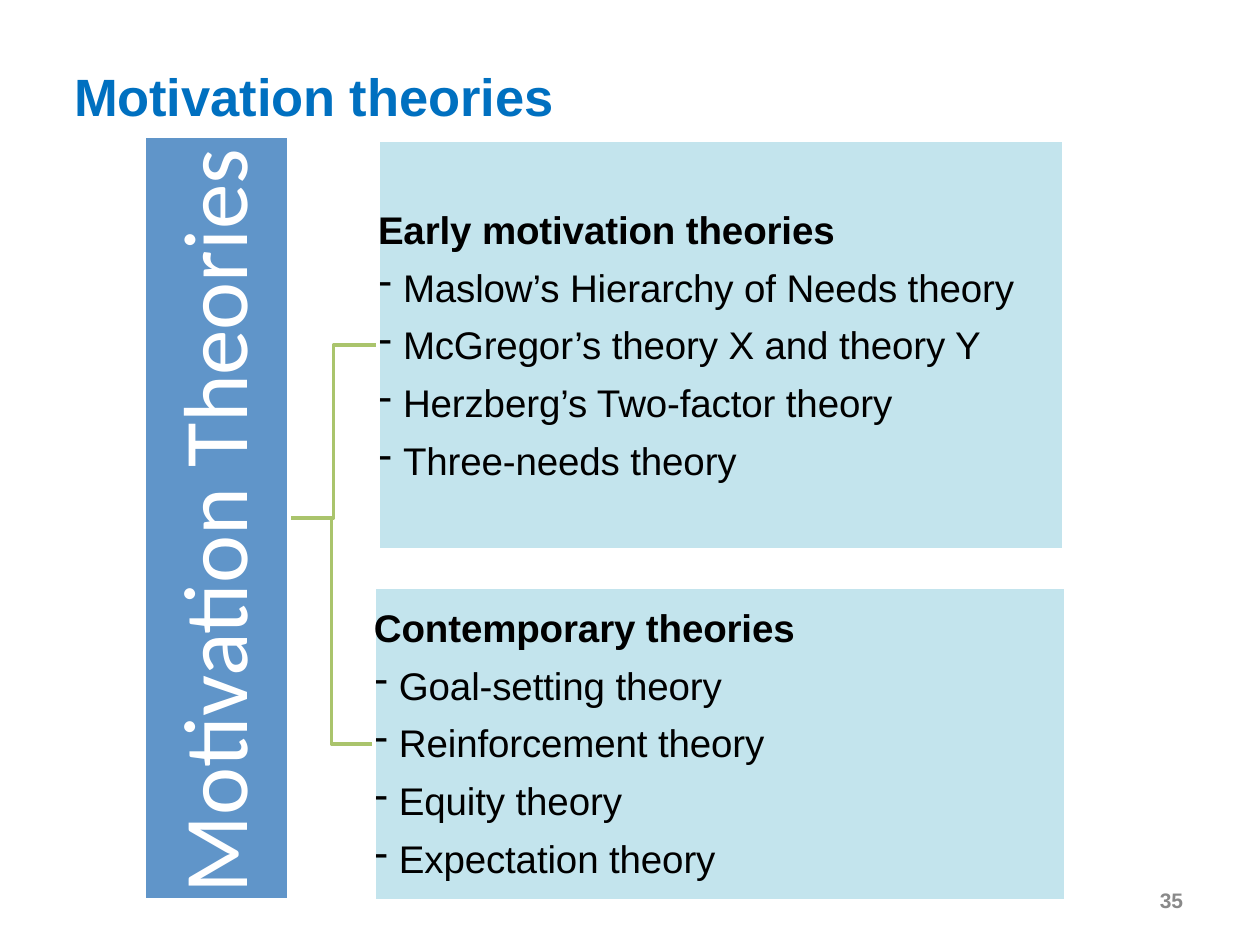
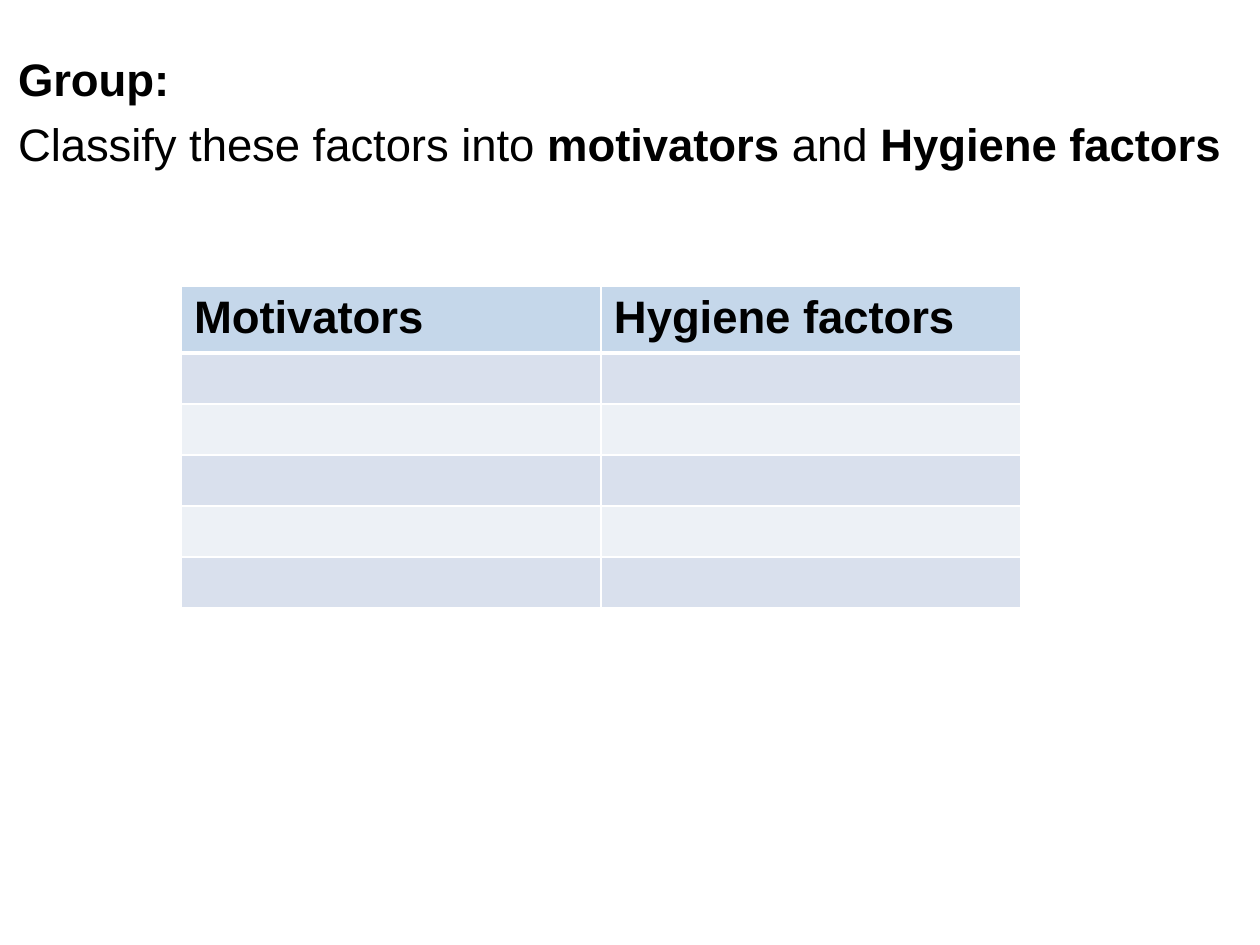
from lxml import etree
from pptx import Presentation, util as u
from pptx.dml.color import RGBColor
from pptx.enum import shapes, text
from pptx.oxml.ns import qn

EMU_PER_PX = 914400 / 126
COLORS = {
    "title": "0070C0", "text": "000000", "number": "898989", "white": "FFFFFF",
    "sidebar": "6095C9", "panel": "C3E4ED", "elbow": "AAC46C",
    "header": "C5D7EA", "odd_row": "D9E0ED", "even_row": "EDF1F6",
}
STYLES = {
    "title": {"size": 30, "bold": True, "color": "title"},
    "number": {"size": 12, "bold": True, "color": "number"},
    "sidebar": {"size": 52, "bold": False, "color": "white", "name": "Calibri"},
    "heading": {"size": 22, "bold": True, "color": "text"},
    "item": {"size": 22, "bold": False, "color": "text"},
    "task": {"size": 26, "bold": False, "color": "text"},
    "task_bold": {"size": 26, "bold": True, "color": "text"},
}

SIDEBAR = {"text": "Motivation Theories", "box": (144, 136, 145, 764),
           "text_box": (159, 142, 115, 751)}
THEORY_PANELS = [
    {
        "heading": "Early motivation theories",
        "items": ["Maslow’s Hierarchy of Needs theory",
                  "McGregor’s theory X and theory Y",
                  "Herzberg’s Two-factor theory",
                  "Three-needs theory"],
        "box": (378, 140, 686, 410), "text_top": 192,
    },
    {
        "heading": "Contemporary theories",
        "items": ["Goal-setting theory", "Reinforcement theory",
                  "Equity theory", "Expectation theory"],
        "box": (374, 587, 692, 314), "text_top": 590,
    },
]
TASK = [
    [("Group:", "task_bold")],
    [("Classify these factors into ", "task"), ("motivators ", "task_bold"),
     ("and ", "task"), ("Hygiene factors", "task_bold")],
]
FACTOR_TABLE = {"headers": ["Motivators", "Hygiene factors"], "left": 181, "top": 286,
                "column": 420, "header_row": 67, "row": 51, "body_rows": 5}


def px(value):
    return u.Emu(round(value * EMU_PER_PX))


def rgb(name):
    return RGBColor.from_string(COLORS[name])


def add_run(paragraph, words, style):
    run = paragraph.add_run()
    run.text = words
    values = {"name": "Arial", **STYLES[style]}
    values["size"] = u.Pt(values["size"])
    run.font.color.rgb = rgb(values.pop("color"))
    for attribute, value in values.items():
        setattr(run.font, attribute, value)
    run.font._element.set("spc", "-5")


def set_frame(frame, top_inset=0):
    values = {"word_wrap": True, "margin_left": 0, "margin_right": 0,
              "margin_top": px(top_inset), "margin_bottom": 0,
              "vertical_anchor": text.MSO_ANCHOR.TOP}
    for attribute, value in values.items():
        setattr(frame, attribute, value)


def add_text(slide, box, paragraphs, top_inset=1, gap=0):
    frame = slide.shapes.add_textbox(*map(px, box)).text_frame
    set_frame(frame, top_inset)
    for index, runs in enumerate(paragraphs):
        paragraph = frame.add_paragraph() if index else frame.paragraphs[0]
        if index:
            paragraph.space_before = u.Pt(gap)
        for words, style in runs:
            add_run(paragraph, words, style)
    return frame


def add_bullet(paragraph):
    properties = paragraph._p.get_or_add_pPr()
    properties.set("marL", str(px(25)))
    properties.set("indent", str(px(-24)))
    etree.SubElement(properties, qn("a:buChar")).set("char", "-")


def add_block(slide, box, color):
    shape = slide.shapes.add_shape(shapes.MSO_SHAPE.RECTANGLE, *map(px, box))
    shape.shadow.inherit = False
    shape.fill.solid()
    shape.fill.fore_color.rgb = rgb(color)
    shape.line.color.rgb = rgb("white")
    shape.line.width = u.Pt(2)


def add_elbow(slide, start, end):
    connector = slide.shapes.add_connector(
        shapes.MSO_CONNECTOR.ELBOW, *map(px, start + end))
    connector.line.color.rgb = rgb("elbow")
    connector.line.width = u.Pt(2)
    etree.SubElement(connector._element.spPr, qn("a:effectLst"))


def set_borders(cell, widths):
    properties = cell._tc.get_or_add_tcPr()
    for side, width in widths.items():
        line = etree.SubElement(properties, qn(f"a:ln{side}"), w=str(u.Pt(width)))
        fill = etree.SubElement(line, qn("a:solidFill"))
        etree.SubElement(fill, qn("a:srgbClr"), val=COLORS["white"])


def build_theories(slide):
    add_text(slide, (74, 63, 520, 67), [[("Motivation theories", "title")]])
    add_text(slide, (1160, 887, 40, 29), [[("35", "number")]])

    left, top, width, height = SIDEBAR["box"]
    for panel in reversed(THEORY_PANELS):
        panel_left, panel_top, _, panel_height = panel["box"]
        add_elbow(slide, (left + width, top + height // 2),
                  (panel_left, panel_top + panel_height // 2))
    add_block(slide, SIDEBAR["box"], "sidebar")
    frame = add_text(slide, SIDEBAR["text_box"], [[(SIDEBAR["text"], "sidebar")]], 0)
    frame._txBody.bodyPr.set("vert", "vert270")
    frame.paragraphs[0].line_spacing = u.Pt(60.9)

    for panel in THEORY_PANELS:
        add_block(slide, panel["box"], "panel")
        panel_left, _, panel_width, _ = panel["box"]
        lines = [[(panel["heading"], "heading")]]
        lines += [[(item, "item")] for item in panel["items"]]
        frame = add_text(slide, (panel_left, panel["text_top"], panel_width, 292),
                         lines, top_inset=14, gap=6.6)
        for paragraph in frame.paragraphs[1:]:
            add_bullet(paragraph)


def build_classification(slide):
    add_text(slide, (18, 40, 1230, 134), TASK, top_inset=11, gap=5.8)

    data = FACTOR_TABLE
    columns, rows = len(data["headers"]), data["body_rows"] + 1
    heights = [data["header_row"]] + [data["row"]] * data["body_rows"]
    table = slide.shapes.add_table(
        rows, columns, px(data["left"]), px(data["top"]),
        px(columns * data["column"]), px(sum(heights))).table
    for column in table.columns:
        column.width = px(data["column"])
    for row_index, row in enumerate(table.rows):
        row.height = px(heights[row_index])
        color = "header" if row_index == 0 else "odd_row" if row_index % 2 else "even_row"
        widths = {"L": 1, "R": 1, "T": 3 if row_index == 1 else 1,
                  "B": 3 if row_index == 0 else 1}
        for column_index, cell in enumerate(row.cells):
            set_borders(cell, widths)
            cell.fill.solid()
            cell.fill.fore_color.rgb = rgb(color)
            for side in ("left", "right", "top", "bottom"):
                setattr(cell, f"margin_{side}", 0)
            if row_index == 0:
                cell.margin_left, cell.margin_top = px(13), px(6)
                add_run(cell.text_frame.paragraphs[0],
                        data["headers"][column_index], "task_bold")


def main():
    presentation = Presentation()
    presentation.slide_width, presentation.slide_height = px(1260), px(945)
    for build in (build_theories, build_classification):
        build(presentation.slides.add_slide(presentation.slide_layouts[6]))
    presentation.save("out.pptx")


if __name__ == "__main__":
    main()
